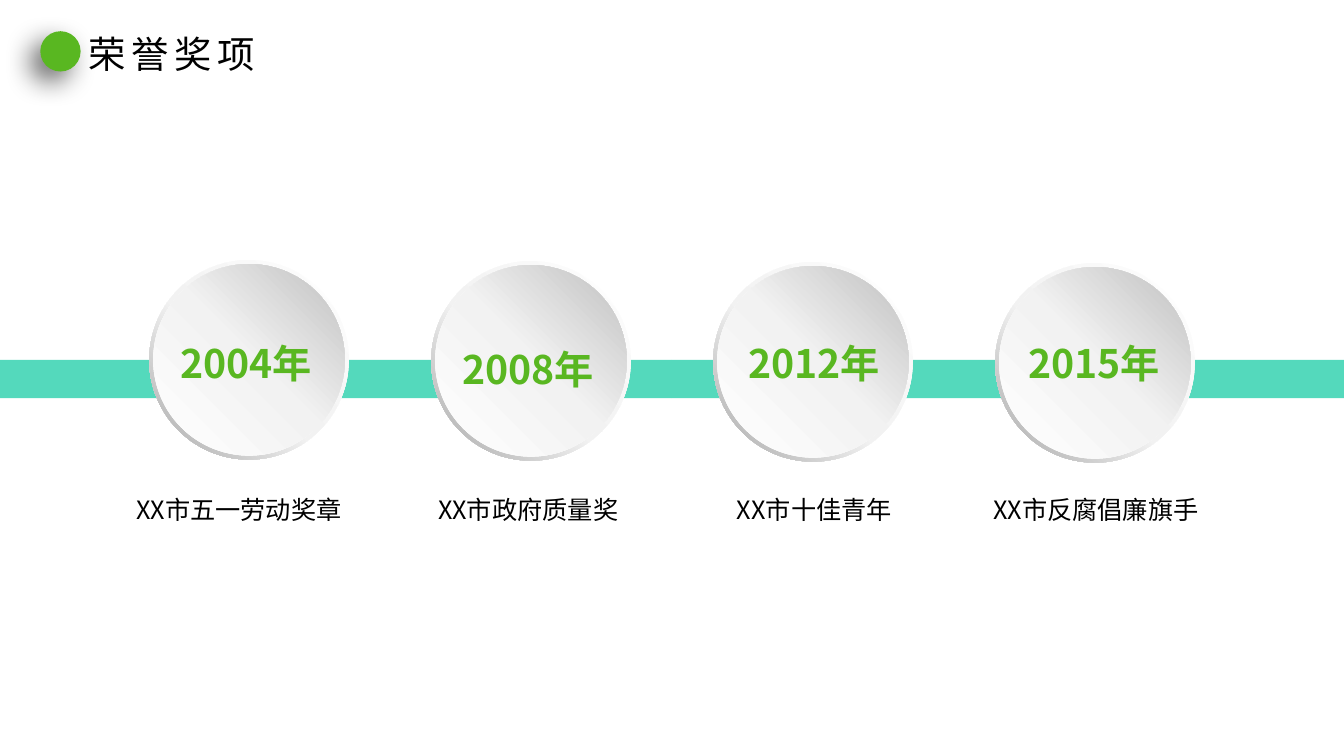
import dataclasses

import lxml.etree
import pptx
import pptx.dml.color
import pptx.enum.shapes
import pptx.enum.text
import pptx.oxml
import pptx.oxml.ns
import pptx.util

SHAPE = pptx.enum.shapes.MSO_SHAPE
qn = pptx.oxml.ns.qn


@dataclasses.dataclass(frozen=True)
class Theme:
    font: str = "Noto Sans CJK SC"
    green: str = "59B721"
    teal: str = "54D9BC"
    black: str = "000000"
    title_size: float = 26.7
    year_size: float = 28
    award_size: float = 18
    rim_stops: tuple = ((0, "FFFFFF"), (55, "F2F2F2"), (100, "A6A6A6"))
    face_stops: tuple = ((0, "FFFFFF"), (51, "F2F2F2"), (100, "BFBFBF"))


@dataclasses.dataclass(frozen=True)
class Milestone:
    year: str
    award: str
    year_dx: float
    year_top: float
    award_dx: float


THEME = Theme()
WIDTH, HEIGHT = 13.33, 7.5
TITLE = "荣誉奖项"
# Shifts are inches from the disc's centre to the centre of each text.
MILESTONES = (
    Milestone("2004年", "XX市五一劳动奖章", 0, 3.32, -0.07),
    Milestone("2008年", "XX市政府质量奖", 0, 3.38, 0),
    Milestone("2012年", "XX市十佳青年", 0.04, 3.32, 0.04),
    Milestone("2015年", "XX市反腐倡廉旗手", 0.02, 3.32, 0.04),
)


def inches(*lengths):
    return [pptx.util.Inches(length) for length in lengths]


def add_figure(shapes, preset, box, color=None):
    figure = shapes.add_shape(preset, *inches(*box))
    figure.shadow.inherit = False
    figure.line.fill.background()
    if color:
        figure.fill.solid()
        figure.fill.fore_color.rgb = pptx.dml.color.RGBColor.from_string(color)
    return figure


def add_text(shapes, text, box, size, color=THEME.black, bold=False, spacing=0, wrap=True):
    frame = shapes.add_textbox(*inches(*box)).text_frame
    frame.word_wrap = wrap
    frame.auto_size = pptx.enum.text.MSO_AUTO_SIZE.SHAPE_TO_FIT_TEXT
    run = frame.paragraphs[0].add_run()
    run.text = text
    run.font.size = pptx.util.Pt(size)
    run.font.bold = bold
    run.font.name = THEME.font
    run.font.color.rgb = pptx.dml.color.RGBColor.from_string(color)
    properties = run.font._element
    lxml.etree.SubElement(properties, qn("a:ea"), typeface=THEME.font)
    if spacing:
        properties.set("spc", str(spacing * 100))


def set_gradient(figure, stops, angle):
    """Fill with several stops; the angle runs clockwise."""
    figure.fill.gradient()
    gradient = figure._element.spPr.find(qn("a:gradFill"))
    for child in list(gradient):
        gradient.remove(child)
    stop_list = lxml.etree.SubElement(gradient, qn("a:gsLst"))
    for position, color in stops:
        stop = lxml.etree.SubElement(stop_list, qn("a:gs"), pos=str(position * 1000))
        lxml.etree.SubElement(stop, qn("a:srgbClr"), val=color)
    lxml.etree.SubElement(gradient, qn("a:lin"), ang=str(angle * 60000), scaled="0")


def set_shadow(figure, color, opacity, blur, distance, angle):
    effects = figure._element.spPr.find(qn("a:effectLst"))
    shadow = lxml.etree.SubElement(
        effects, qn("a:outerShdw"), blurRad=str(pptx.util.Pt(blur)),
        dist=str(pptx.util.Pt(distance)), dir=str(angle * 60000),
        algn="tr", rotWithShape="0")
    tint = lxml.etree.SubElement(shadow, qn("a:srgbClr"), val=color)
    lxml.etree.SubElement(tint, qn("a:alpha"), val=str(opacity * 1000))


def add_heading(shapes, left, top, width, height):
    bullet = 0.4
    dot = add_figure(shapes, SHAPE.OVAL, (left, top + 0.05, bullet, bullet), THEME.green)
    set_shadow(dot, THEME.black, opacity=60, blur=20, distance=10, angle=135)
    text_left = left + bullet - 0.02
    add_text(shapes, TITLE, (text_left, top, left + width - text_left, height),
             THEME.title_size, spacing=4, wrap=False)


def add_band(shapes, left, top, width, height):
    band = shapes.add_group_shape().shapes
    segment = width / len(MILESTONES)
    for column in range(len(MILESTONES)):
        add_figure(band, SHAPE.RECTANGLE,
                   (left + column * segment, top, segment, height), THEME.teal)


def add_disc(shapes, left, top, size):
    disc = shapes.add_group_shape().shapes
    rim = add_figure(disc, SHAPE.DONUT, (left, top, size, size))
    rim.adjustments[0] = 0.049
    set_gradient(rim, THEME.rim_stops, 135)
    inset = 0.04
    face = add_figure(disc, SHAPE.OVAL,
                      (left + inset, top + inset, size - 2 * inset, size - 2 * inset))
    set_gradient(face, THEME.face_stops, 315)


def add_timeline(shapes, left, top, width, disc_size):
    step = (width - disc_size) / (len(MILESTONES) - 1)
    year_width, character = 1.56, 0.255
    lefts = [left + column * step for column in range(len(MILESTONES))]
    for column, disc_left in enumerate(lefts):
        add_disc(shapes, disc_left, top + column * 0.01, disc_size)
    for disc_left, stone in zip(lefts, MILESTONES):
        center = disc_left + disc_size / 2
        add_text(shapes, stone.year,
                 (center + stone.year_dx - year_width / 2, stone.year_top, year_width, 0.57),
                 THEME.year_size, THEME.green, bold=True)
        award_width = character * len(stone.award)
        add_text(shapes, stone.award,
                 (center + stone.award_dx - award_width / 2, top + 2.27, award_width, 0.4),
                 THEME.award_size)


def main():
    deck = pptx.Presentation()
    deck.slide_width, deck.slide_height = inches(WIDTH, HEIGHT)
    shapes = deck.slides.add_slide(deck.slide_layouts[6]).shapes
    add_heading(shapes, 0.4, 0.26, 2.3, 0.55)
    add_band(shapes, 0, 3.57, WIDTH, 0.38)
    add_timeline(shapes, 1.48, 2.58, 10.37, 1.98)
    deck.save("out.pptx")


if __name__ == "__main__":
    main()
